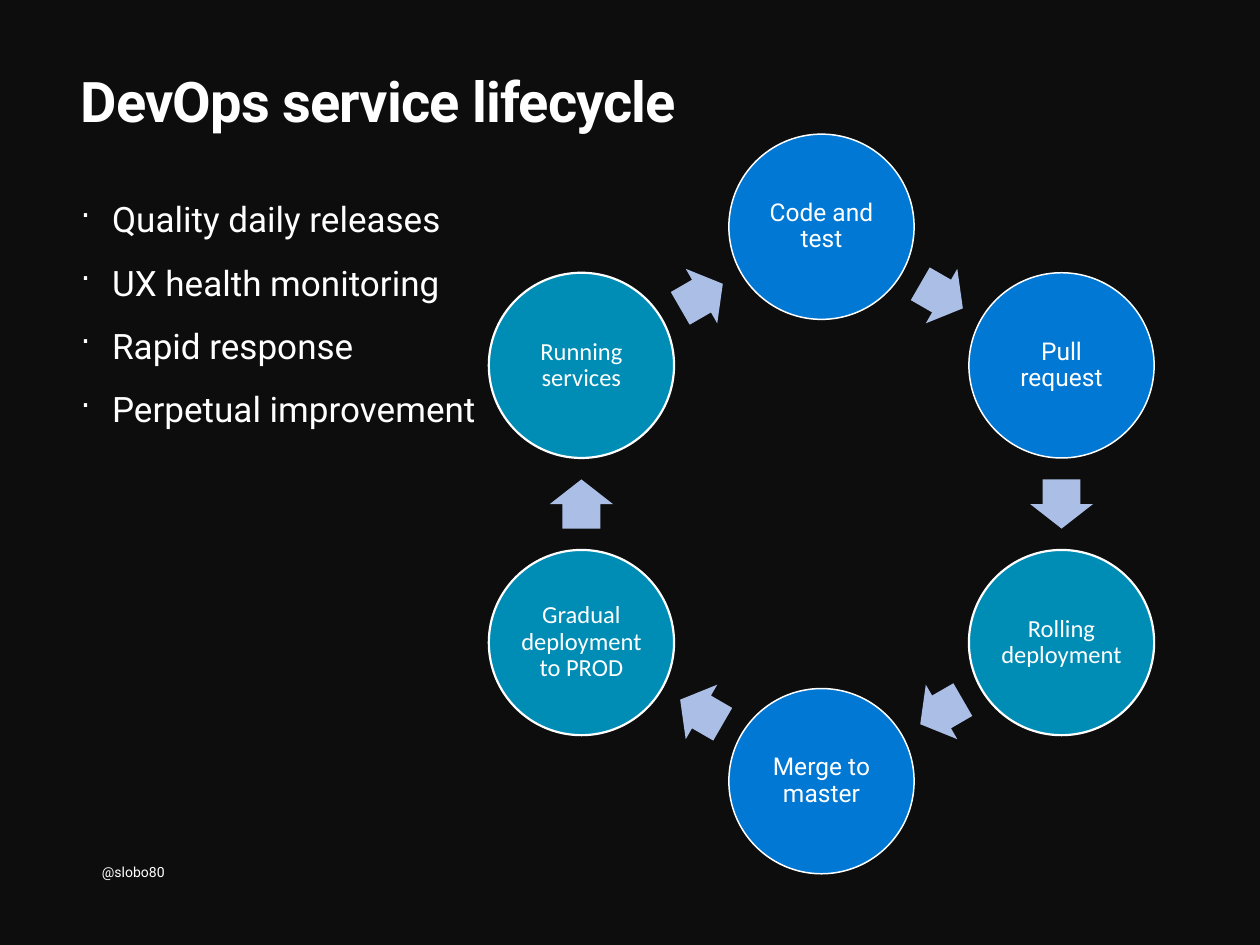
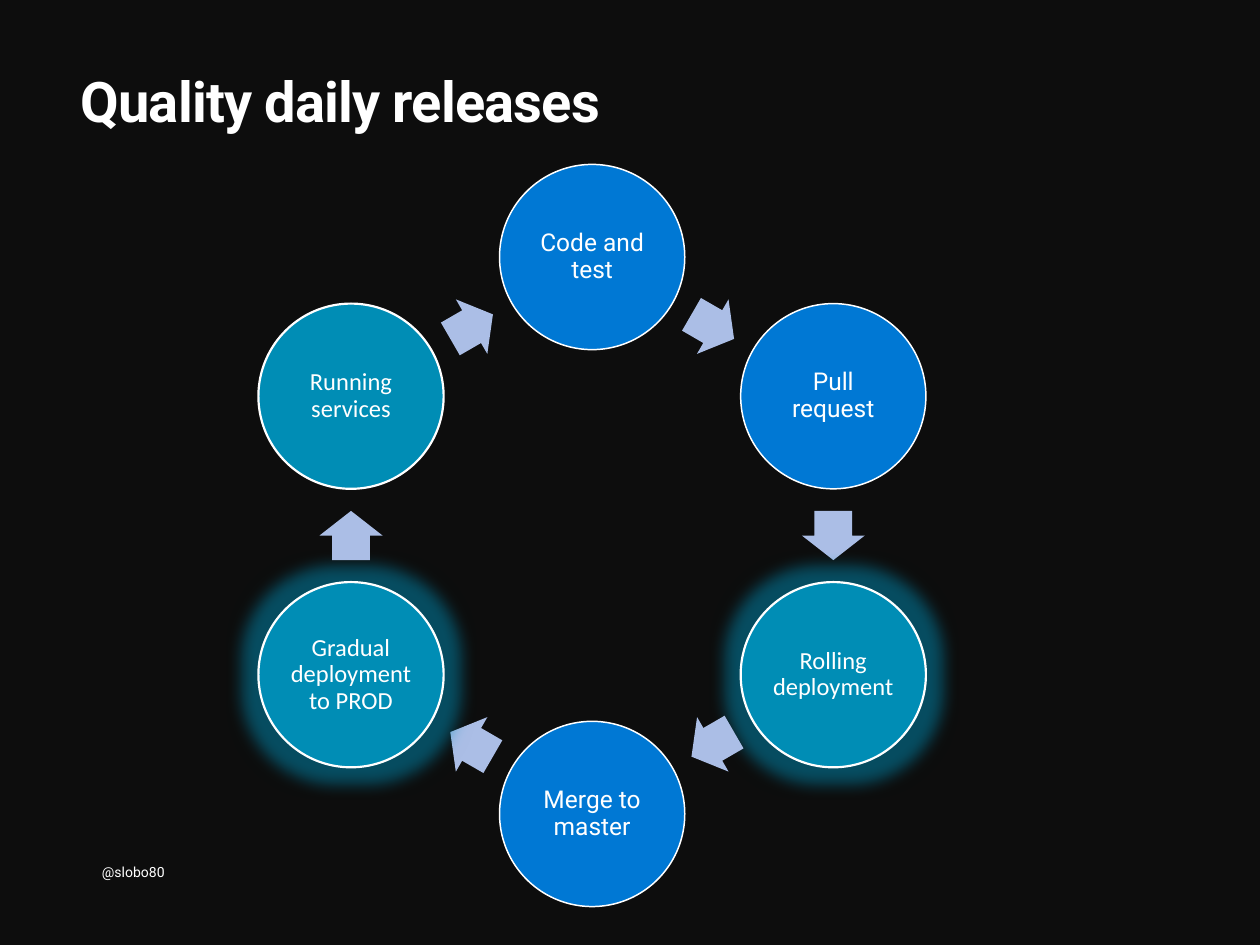
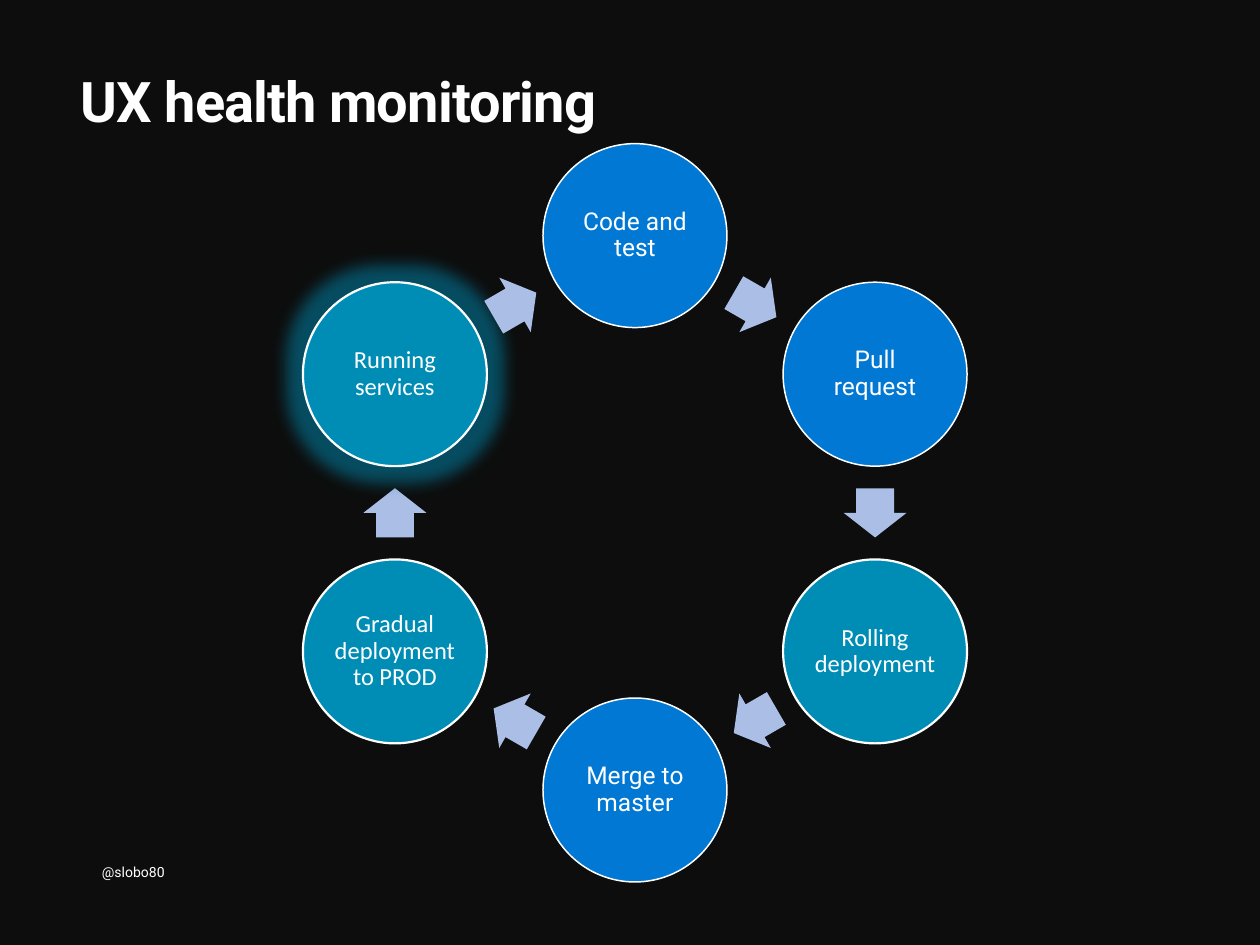
from math import cos, radians, sin

from lxml import etree
from pptx import Presentation
from pptx.dml.color import RGBColor
from pptx.enum.shapes import MSO_SHAPE
from pptx.enum.text import MSO_ANCHOR, PP_ALIGN
from pptx.oxml.ns import qn
from pptx.util import Inches, Pt

ELLIPSE, ARROW = MSO_SHAPE.OVAL, MSO_SHAPE.RIGHT_ARROW
MIDDLE, BOTTOM, TOP = MSO_ANCHOR.MIDDLE, MSO_ANCHOR.BOTTOM, MSO_ANCHOR.TOP
LEFT, CENTER = PP_ALIGN.LEFT, PP_ALIGN.CENTER

BACKGROUND, WHITE, ARROW_BLUE = "0D0D0D", "FFFFFF", "ABBEE6"
DEVELOP = {"fill": "0078D4", "line": 0.85, "font": "Roboto", "inset": 0.02}
OPERATE = {"fill": "008DB5", "line": 1.25, "font": "Calibri", "inset": 0.03}

STAGES = [
    ("Code and test", DEVELOP),
    ("Pull request", DEVELOP),
    ("Rolling deployment", OPERATE),
    ("Merge to master", DEVELOP),
    ("Gradual deployment to PROD", OPERATE),
    ("Running services", OPERATE),
]
GOALS = ["Quality daily releases", "UX health monitoring",
         "Rapid response", "Perpetual improvement"]

# Each cycle: centre x, centre y, ring radius, circle diameter
SLIDES = [
    {"title": "DevOps service lifecycle", "goals": GOALS,
     "cycle": (6.52, 4.0, 2.2, 1.47), "glowing": []},
    {"title": GOALS[0], "goals": [],
     "cycle": (4.7, 4.25, 2.21, 1.47),
     "glowing": ["Rolling deployment", "Gradual deployment to PROD"]},
    {"title": GOALS[1], "goals": [],
     "cycle": (5.04, 4.07, 2.2, 1.46), "glowing": ["Running services"]},
]


def rgb(value):
    return RGBColor.from_string(value)


def write(shape, lines, size, font="Roboto", bold=False, align=LEFT,
          anchor=TOP, insets=(0, 0)):
    """Fill a shape with white paragraphs; insets are horizontal, vertical."""
    frame = shape.text_frame
    frame.word_wrap = True
    frame.vertical_anchor = anchor
    frame.margin_left = frame.margin_right = Inches(insets[0])
    frame.margin_top = frame.margin_bottom = Inches(insets[1])
    frame.text = "\n".join(lines)
    for paragraph in frame.paragraphs:
        paragraph.alignment = align
        text_font = paragraph.runs[0].font
        for key, value in {"name": font, "size": Pt(size), "bold": bold}.items():
            setattr(text_font, key, value)
        text_font.color.rgb = rgb(WHITE)
    return frame.paragraphs


prs = Presentation()
prs.slide_width, prs.slide_height = Inches(10), Inches(7.5)
master_fill = prs.slide_master.background.fill
master_fill.solid()
master_fill.fore_color.rgb = rgb(BACKGROUND)
title_only = prs.slide_layouts[5]

for content in SLIDES:
    slide = prs.slides.add_slide(title_only)
    shapes = slide.shapes

    title = shapes.title
    title.left, title.top = Inches(0.64), Inches(0.52)
    title.width, title.height = Inches(8.72), Inches(0.54)
    heading = write(title, [content["title"]], 32, bold=True, anchor=BOTTOM)[0]
    heading.runs[0].font._element.set("spc", "-50")

    if content["goals"]:
        goals = shapes.add_textbox(Inches(0.64), Inches(1.57), Inches(4.2), Inches(2.36))
        for goal in write(goals, content["goals"], 20):
            goal.space_before = Pt(12.2)
            properties = goal._p.get_or_add_pPr()
            properties.set("marL", str(Inches(0.25)))
            properties.set("indent", str(-Inches(0.25)))
            bullet_color = etree.SubElement(properties, qn("a:buClr"))
            etree.SubElement(bullet_color, qn("a:srgbClr"), val=WHITE)
            etree.SubElement(properties, qn("a:buSzPct"), val="90000")
            etree.SubElement(properties, qn("a:buChar"), char="·")

    center_x, center_y, radius, diameter = content["cycle"]
    arrow_radius = radius * cos(radians(30))
    arrow_length, arrow_width = 0.39, 0.5
    for i, (label, style) in enumerate(STAGES):
        angle = radians(60 * i - 90)
        stage = shapes.add_shape(
            ELLIPSE,
            Inches(center_x + radius * cos(angle) - diameter / 2),
            Inches(center_y + radius * sin(angle) - diameter / 2),
            Inches(diameter), Inches(diameter))
        stage.shadow.inherit = False
        stage.fill.solid()
        stage.fill.fore_color.rgb = rgb(style["fill"])
        stage.line.color.rgb = rgb(WHITE)
        stage.line.width = Pt(style["line"])
        caption = write(stage, [label], 14, font=style["font"], align=CENTER,
                        anchor=MIDDLE, insets=(style["inset"], style["inset"]))[0]
        caption.line_spacing = 0.9
        if label in content["glowing"]:
            effects = stage._element.spPr.find(qn("a:effectLst"))
            glow = etree.SubElement(effects, qn("a:glow"), rad=str(Inches(0.25)))
            glow_color = etree.SubElement(glow, qn("a:srgbClr"), val=style["fill"])
            etree.SubElement(glow_color, qn("a:alpha"), val="50000")

        angle += radians(30)
        arrow = shapes.add_shape(
            ARROW,
            Inches(center_x + arrow_radius * cos(angle) - arrow_length / 2),
            Inches(center_y + arrow_radius * sin(angle) - arrow_width / 2),
            Inches(arrow_length), Inches(arrow_width))
        arrow.shadow.inherit = False
        arrow.adjustments[0], arrow.adjustments[1] = 0.6, 0.5
        arrow.rotation = 30 + 60 * i
        arrow.fill.solid()
        arrow.fill.fore_color.rgb = rgb(ARROW_BLUE)
        arrow.line.fill.background()

    handle = shapes.add_textbox(Inches(0.71), Inches(6.72), Inches(3.38), Inches(0.4))
    write(handle, ["@slobo80"], 8, anchor=MIDDLE, insets=(0.1, 0.05))

prs.save("out.pptx")
